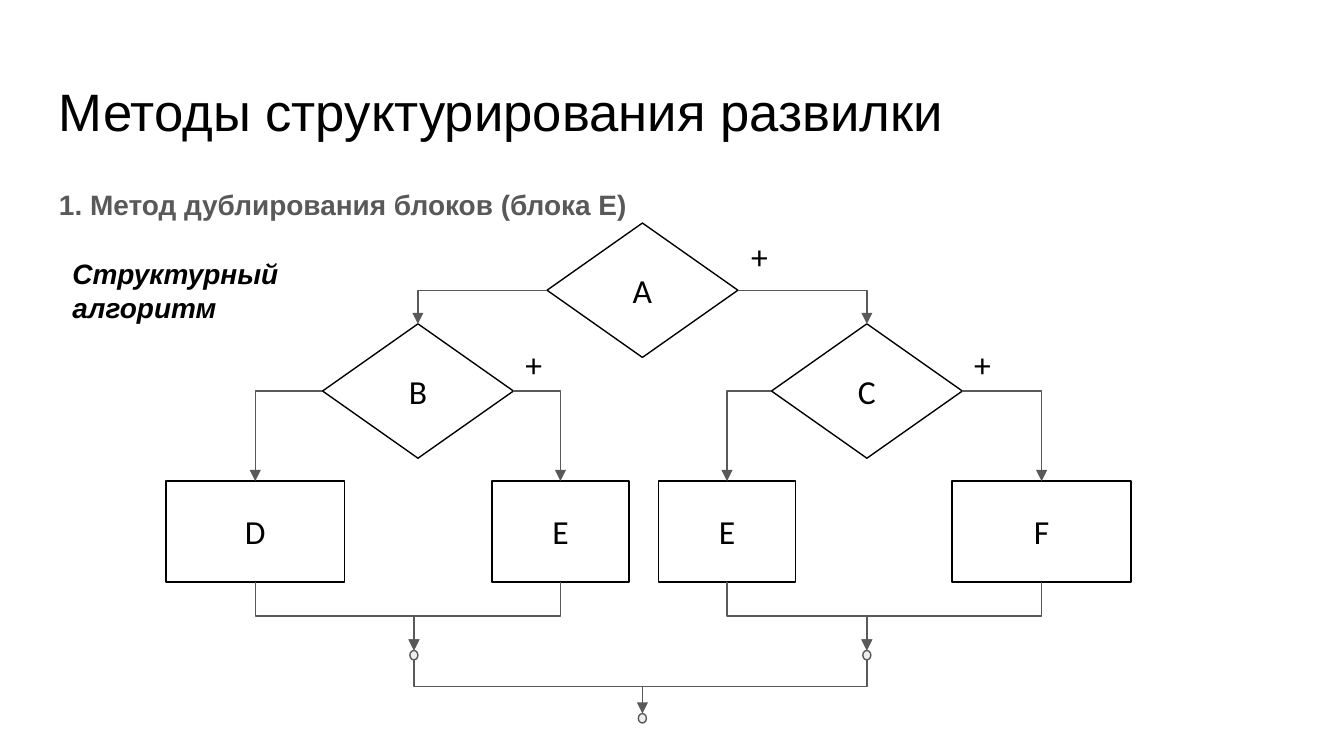
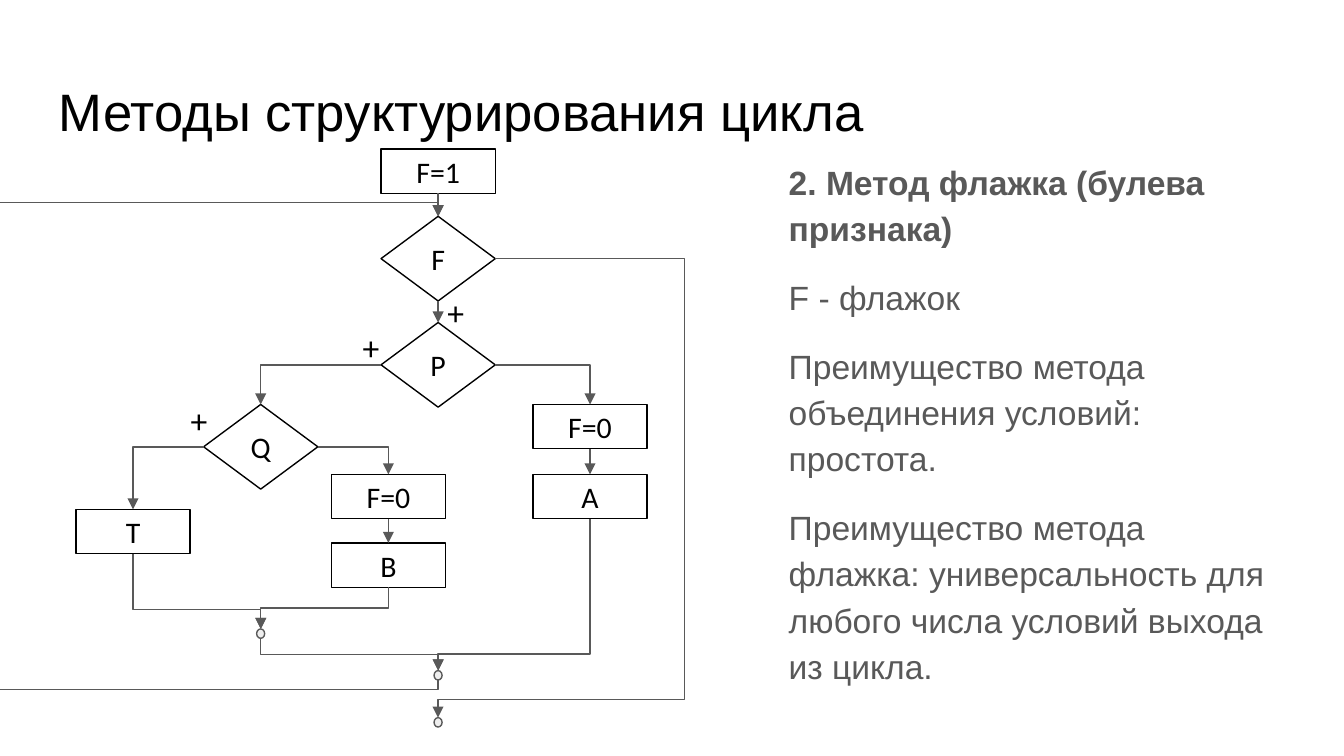
import pptx
import pptx.dml.color
import pptx.enum.shapes
import pptx.enum.text
import pptx.oxml.ns
import pptx.util
from lxml import etree
from pptx.util import Inches

COLORS = {
    "text": "000000",
    "muted": "595959",
    "node": "FFFFFF",
    "joint": "EEEEEE",
}
SHAPES = pptx.enum.shapes.MSO_SHAPE
CONNECTORS = pptx.enum.shapes.MSO_CONNECTOR
BOX_SITES = {"top": 0, "left": 1, "bottom": 2, "right": 3}
JOINT_SITES = {"top": 0, "left": 2, "bottom": 4, "right": 6}


def color(name):
    return pptx.dml.color.RGBColor.from_string(COLORS[name])


def qualified(name):
    return pptx.oxml.ns.qn(name)


def side_point(shape, side):
    x_share, y_share = {
        "top": (0.5, 0), "left": (0, 0.5), "bottom": (0.5, 1), "right": (1, 0.5),
    }[side]
    return (
        int(shape.left + shape.width * x_share),
        int(shape.top + shape.height * y_share),
    )


class FlowDeck:
    def __init__(self):
        self.presentation = pptx.Presentation()
        self.presentation.slide_width = Inches(10)
        self.presentation.slide_height = Inches(10 * 9 / 16)
        self.slide = None
        self.node_size = 18

    def new_slide(self, title, node_size):
        self.slide = self.presentation.slides.add_slide(self.presentation.slide_layouts[6])
        self.node_size = node_size
        self.text(0.34, 0.49, 9.32, 0.63, [title], 28.2, inset=0.1)

    def format_runs(self, paragraph, size, font, tone, bold=False, italic=False):
        for run in paragraph.runs:
            run.font.size = pptx.util.Pt(size)
            run.font.name = font
            run.font.bold = bold
            run.font.italic = italic
            run.font.color.rgb = color(tone)

    def text(self, left, top, width, height, lines, size, font="Arial", tone="text",
             inset=0.05, bold_lines=0, italic=False, spacing=None, before=0, after=0):
        box = self.slide.shapes.add_textbox(
            Inches(left), Inches(top), Inches(width), Inches(height))
        frame = box.text_frame
        frame.word_wrap = True
        frame.margin_left = frame.margin_right = Inches(0.1)
        frame.margin_top = frame.margin_bottom = Inches(inset)
        frame.text = "\n".join(lines)
        for index, paragraph in enumerate(frame.paragraphs):
            if spacing:
                paragraph.line_spacing = spacing
            if index:
                paragraph.space_before = pptx.util.Pt(before)
            self.format_runs(paragraph, size, font, tone, index < bold_lines, italic)
        frame.paragraphs[-1].space_after = pptx.util.Pt(after)

    def plus(self, left, top, width):
        self.text(left, top, width, 0.4, ["+"], 18, font="Calibri")

    def outlined(self, kind, center, top, width, height, fill, line):
        shape = self.slide.shapes.add_shape(
            kind, Inches(center - width / 2), Inches(top), Inches(width), Inches(height))
        shape.shadow.inherit = False
        shape.fill.solid()
        shape.fill.fore_color.rgb = color(fill)
        shape.line.color.rgb = color(line)
        shape.line.width = pptx.util.Pt(0.75)
        return shape

    def node(self, kind, label, center, top, width, height):
        shape = self.outlined(kind, center, top, width, height, "node", "text")
        frame = shape.text_frame
        frame.text = label
        frame.vertical_anchor = pptx.enum.text.MSO_ANCHOR.MIDDLE
        paragraph = frame.paragraphs[0]
        paragraph.alignment = pptx.enum.text.PP_ALIGN.CENTER
        self.format_runs(paragraph, self.node_size, "Calibri", "text")
        return shape

    def decision(self, label, center, top, width, height):
        return self.node(SHAPES.FLOWCHART_DECISION, label, center, top, width, height)

    def process(self, label, center, top, width, height):
        return self.node(SHAPES.FLOWCHART_PROCESS, label, center, top, width, height)

    def joint(self, center, top):
        return self.outlined(SHAPES.OVAL, center, top, 0.06, 0.07, "joint", "muted")

    def connector(self, kind, begin, end, side, arrow=True):
        connector = self.slide.shapes.add_connector(
            kind, *side_point(begin, side), *side_point(end, "top"))
        connector.line.color.rgb = color("muted")
        connector.line.width = pptx.util.Pt(0.75)
        properties = connector.element.spPr
        if arrow:
            outline = properties.find(qualified("a:ln"))
            etree.SubElement(outline, qualified("a:tailEnd"), type="triangle")
        etree.SubElement(properties, qualified("a:effectLst"))
        links = connector.element.nvCxnSpPr.cNvCxnSpPr
        for link, shape, name in (
            (links.get_or_add_stCxn(), begin, side),
            (links.get_or_add_endCxn(), end, "top"),
        ):
            is_joint = shape.auto_shape_type == SHAPES.OVAL
            link.id = shape.shape_id
            link.idx = (JOINT_SITES if is_joint else BOX_SITES)[name]
        return connector

    def straight(self, begin, end):
        self.connector(CONNECTORS.STRAIGHT, begin, end, "bottom")

    def elbow(self, begin, end, side, adjustments=(), arrow=True):
        connector = self.connector(CONNECTORS.ELBOW, begin, end, side, arrow)
        geometry = connector.element.spPr.find(qualified("a:prstGeom"))
        geometry.set("prst", f"bentConnector{len(adjustments) + 2}")
        guides = geometry.find(qualified("a:avLst"))
        for number, share in enumerate(adjustments, 1):
            etree.SubElement(guides, qualified("a:gd"), name=f"adj{number}",
                             fmla=f"val {round(share * 100000)}")
        if side == "bottom":
            self.turn(connector, side_point(begin, side), side_point(end, "top"))

    def turn(self, connector, start, finish):
        run, drop = finish[0] - start[0], finish[1] - start[1]
        length, breadth = abs(drop), max(abs(run), 600)
        connector.left = (start[0] + finish[0] - length) // 2
        connector.top = (start[1] + finish[1] - breadth) // 2
        connector.width, connector.height = length, breadth
        frame = connector.element.spPr.xfrm
        frame.rot = 90.0 if drop > 0 and run <= 0 else 270.0
        frame.flipH = drop > 0 and run > 0
        frame.flipV = False

    def merge(self, left, right, joint, left_share=0.5, right_share=0.5, left_arrow=True):
        self.elbow(left, joint, "bottom", (left_share,), left_arrow)
        self.elbow(right, joint, "bottom", (right_share,))

    def branch(self, decision, left, right):
        self.elbow(decision, left, "left")
        self.elbow(decision, right, "right")


def build_fork(deck):
    deck.new_slide("Методы структурирования развилки", 18)
    deck.text(0.34, 1.26, 9.32, 0.4, ["1. Метод дублирования блоков (блока Е)"], 15,
              tone="muted", inset=0.1, bold_lines=1, spacing=1.15, after=12)
    deck.text(0.44, 1.86, 2.06, 0.61, ["Структурный алгоритм"], 15,
              bold_lines=1, italic=True)
    for left, top, width in ((5.49, 1.71, 0.44), (3.81, 2.51, 0.52), (7.15, 2.51, 0.52)):
        deck.plus(left, top, width)

    check_a, check_b, check_c = (
        deck.decision(label, center, top, 1.42, 1)
        for label, center, top in (("A", 4.78, 1.66), ("B", 3.11, 2.41), ("C", 6.45, 2.41)))
    block_d, left_e, right_e, block_f = (
        deck.process(label, center, 3.58, width, 0.75)
        for label, center, width in (
            ("D", 1.9, 1.33), ("E", 4.17, 1.02), ("E", 5.41, 1.02), ("F", 7.75, 1.33)))
    left_joint, right_joint, final_joint = (
        deck.joint(center, top) for center, top in ((3.08, 4.84), (6.45, 4.84), (4.78, 5.31)))

    deck.branch(check_a, check_b, check_c)
    deck.branch(check_b, block_d, left_e)
    deck.branch(check_c, right_e, block_f)
    deck.merge(block_d, left_e, left_joint)
    deck.merge(right_e, block_f, right_joint)
    deck.merge(left_joint, right_joint, final_joint, left_arrow=False)


def build_loop(deck):
    deck.new_slide("Методы структурирования цикла", 16)
    deck.text(5.77, 1.11, 3.89, 4.04, [
        "2. Метод флажка (булева признака)",
        "F - флажок",
        "Преимущество метода объединения условий: простота.",
        "Преимущество метода флажка: универсальность для любого числа условий выхода из цикла.",
    ], 18, tone="muted", bold_lines=1, spacing=1.15, before=12, after=12)

    check_flag, check_p, check_q = (
        deck.decision(label, center, top, 0.85, 0.63)
        for label, center, top in (("F", 3.26, 1.61), ("P", 3.26, 2.4), ("Q", 1.94, 3.01)))
    set_flag, clear_a, block_a, clear_b, block_b, block_t = (
        deck.process(label, center, top, 0.85, 0.33)
        for label, center, top in (
            ("F=1", 3.26, 1.11), ("F=0", 4.39, 3.01), ("A", 4.39, 3.53),
            ("F=0", 2.89, 3.53), ("B", 2.89, 4.04), ("T", 0.99, 3.79)))
    inner_joint, outer_joint, exit_joint = (
        deck.joint(center, top) for center, top in ((1.94, 4.68), (3.26, 4.99), (3.26, 5.34)))

    for begin, end in ((set_flag, check_flag), (check_flag, check_p),
                       (clear_a, block_a), (clear_b, block_b)):
        deck.straight(begin, end)
    deck.branch(check_p, check_q, clear_a)
    deck.branch(check_q, block_t, clear_b)
    deck.merge(block_t, block_b, inner_joint, left_share=0.74)
    deck.merge(inner_joint, block_a, outer_joint, right_share=0.89)
    deck.elbow(outer_joint, check_flag, "bottom", (-0.02, -4444.67, 1.03))
    deck.elbow(check_flag, exit_joint, "right", (-3.31, 0.96))
    for left, top in ((3.23, 2.12), (2.6, 2.38), (1.32, 2.93)):
        deck.plus(left, top, 0.29)


def main():
    deck = FlowDeck()
    build_fork(deck)
    build_loop(deck)
    deck.presentation.save("out.pptx")


if __name__ == "__main__":
    main()
